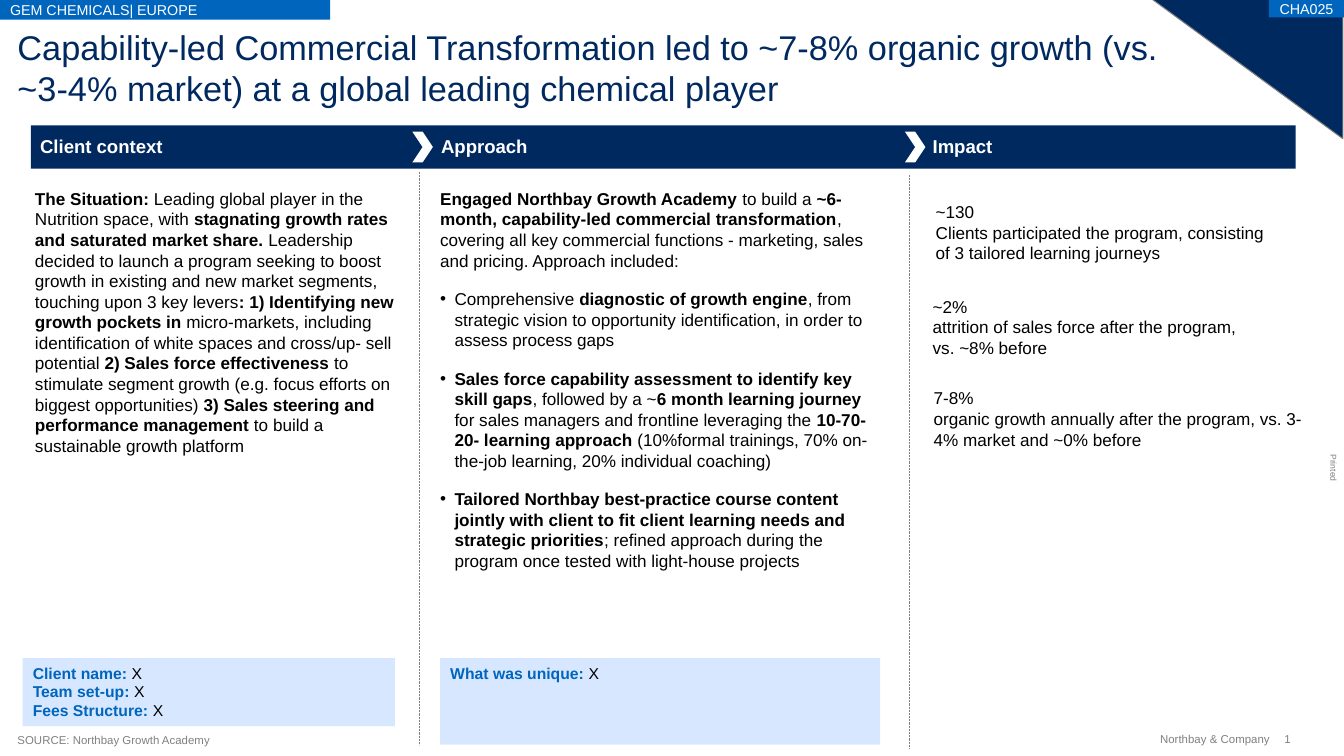
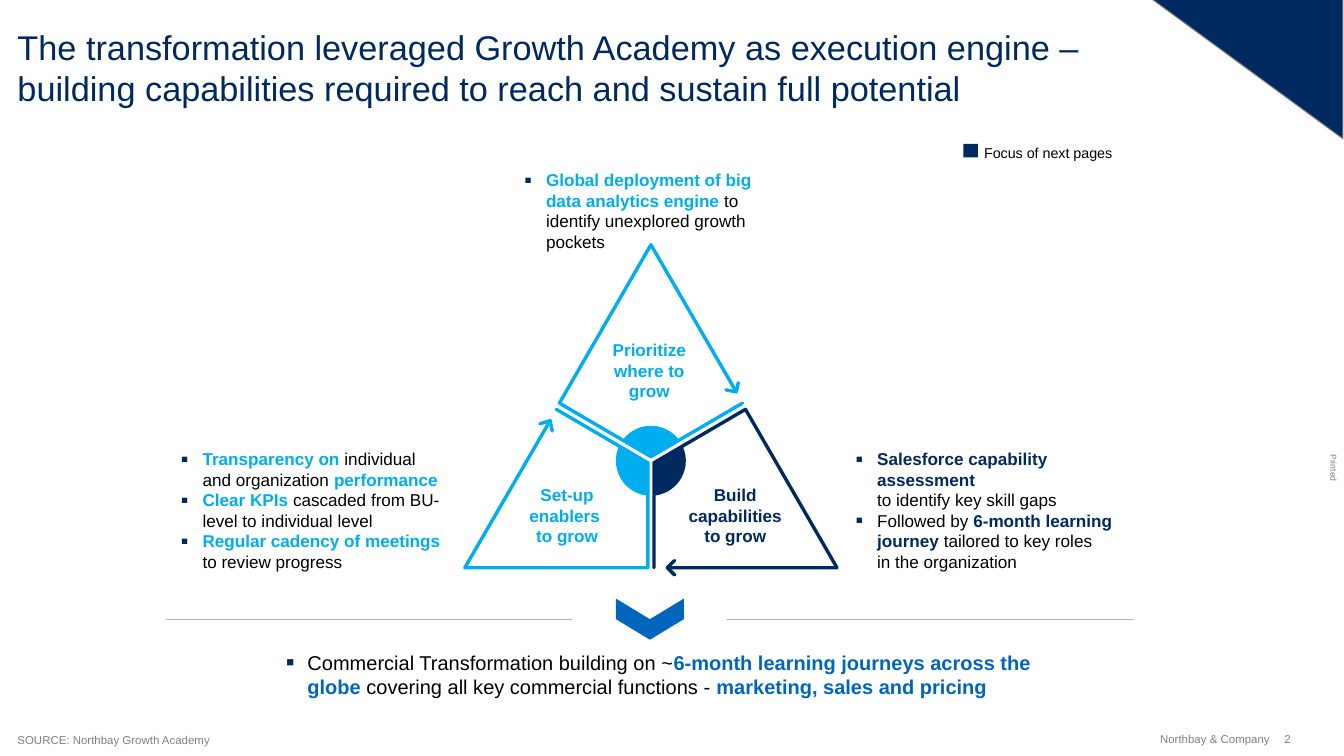
from copy import deepcopy
from math import cos, radians, sin

from pptx import Presentation
from pptx.dml.color import RGBColor
from pptx.enum.dml import MSO_LINE
from pptx.enum.shapes import MSO_CONNECTOR, MSO_SHAPE
from pptx.enum.text import MSO_ANCHOR, MSO_AUTO_SIZE, PP_ALIGN
from pptx.oxml.ns import qn
from pptx.oxml.xmlchemy import OxmlElement
from pptx.util import Inches, Pt

NAVY = RGBColor(0x00, 0x29, 0x60)
BLUE = RGBColor(0x00, 0x65, 0xBD)
CYAN = RGBColor(0x00, 0xAD, 0xEF)
PALE = RGBColor(0xD6, 0xE7, 0xFF)
GREY = RGBColor(0x80, 0x80, 0x80)
SILVER = RGBColor(0xB3, 0xB3, 0xB3)
BLACK = RGBColor(0, 0, 0)
WHITE = RGBColor(0xFF, 0xFF, 0xFF)
FONT = "Arial"

LEFT, CENTER, RIGHT = PP_ALIGN.LEFT, PP_ALIGN.CENTER, PP_ALIGN.RIGHT
TOP, MIDDLE, BOTTOM = MSO_ANCHOR.TOP, MSO_ANCHOR.MIDDLE, MSO_ANCHOR.BOTTOM
RECTANGLE, CHEVRON = MSO_SHAPE.RECTANGLE, MSO_SHAPE.CHEVRON
TRIANGLE = MSO_SHAPE.ISOSCELES_TRIANGLE
STRAIGHT, DOTTED, NO_FIT = MSO_CONNECTOR.STRAIGHT, MSO_LINE.ROUND_DOT, MSO_AUTO_SIZE.NONE

FIRM = "Northbay & Company"
SOURCE = "SOURCE: Northbay Growth Academy"

CASE_TITLE = ("Capability-led Commercial Transformation led to ~7-8% organic growth "
              "(vs. ~3-4% market) at a global leading chemical player")
TAGS = [("GEM CHEMICALS| EUROPE", (0, 0, 3.21, 0.19), LEFT),
        ("CHA025", (12.34, 0, 0.73, 0.17), CENTER)]
HEADINGS = [("Client context", 0.39), ("Approach", 4.29), ("Impact", 9.07)]
HEADING_CHEVRONS = [4.01, 8.8]
DIVIDERS = [(4.08, 1.67, 7.24), (8.84, 1.7, 7.28)]
SITUATION = [
    "*The Situation:* Leading global player in the Nutrition space, with *stagnating growth "
    "rates and saturated market share.* Leadership decided to launch a program seeking to "
    "boost growth in existing and new market segments, touching upon 3 key levers*: "
    "1) Identifying new growth pockets in* micro-markets, including identification of white "
    "spaces and cross/up- sell potential *2) Sales force effectiveness* to stimulate segment "
    "growth (e.g. focus efforts on biggest opportunities) *3) Sales steering and performance "
    "management* to build a sustainable growth platform"]
APPROACH = [
    "*Engaged Northbay Growth Academy* to build a *~6-month, capability-led commercial "
    "transformation*, covering all key commercial functions - marketing, sales and pricing. "
    "Approach included:",
    "Comprehensive *diagnostic of growth engine*, from strategic vision to opportunity "
    "identification, in order to assess process gaps",
    "*Sales force capability assessment to identify key skill gaps*, followed by a ~*6 month "
    "learning journey* for sales managers and frontline leveraging the *10-70-20- learning "
    "approach* (10%formal trainings, 70% on-the-job learning, 20% individual coaching)",
    "*Tailored Northbay best-practice course content jointly with client to fit client "
    "learning needs and strategic priorities*; refined approach during the program once "
    "tested with light-house projects"]
IMPACTS = [
    ((9.1, 1.96, 3.24, 0.61),
     ["~130", "Clients participated the program, consisting of 3 tailored learning journeys"]),
    ((9.07, 2.88, 3.15, 0.61),
     ["~2%", "attrition of sales force after the program, vs. ~8% before"]),
    ((9.08, 3.77, 3.65, 0.61),
     ["7-8%", "organic growth annually after the program, vs. 3-4% market and ~0% before"])]
FACTS = [
    ((0.22, 6.4, 3.62, 0.66), ["*Client name:* X", "*Team set-up:* X", "*Fees Structure:* X"]),
    ((4.28, 6.4, 4.28, 0.84), ["*What was unique:* X"])]

ENGINE_TITLE = ("The transformation leveraged Growth Academy as execution engine – building "
                "capabilities required to reach and sustain full potential")
LEGEND = "Focus of next pages"
ENGINE_LISTS = [
    ((5.1, 1.65, 2.45, 0.81), 12, CYAN,
     ["*Global deployment of big data analytics engine* to identify unexplored growth pockets"]),
    ((1.76, 4.36, 2.59, 1.21), 12, CYAN,
     ["*Transparency on* individual \nand organization *performance*",
      "*Clear KPIs* cascaded from BU-level to individual level",
      "*Regular cadency of meetings* to review progress"]),
    ((8.32, 4.36, 2.86, 1.21), 12, NAVY,
     ["*Salesforce capability assessment*\nto identify key skill gaps",
      "Followed by *6-month learning journey* tailored to key roles \nin the organization"]),
    ((2.78, 6.32, 7.52, 0.47), 14, BLUE,
     ["Commercial Transformation building on ~*6-month learning journeys across the globe* "
      "covering all key commercial functions - *marketing, sales and pricing*"])]
STEPS = [("*Prioritize where to grow*", (5.88, 3.3, 0.87, 0.61), CYAN),
         ("*Set-up enablers \nto grow*", (5.08, 4.71, 0.87, 0.61), CYAN),
         ("*Build capabilities to grow*", (6.69, 4.71, 0.92, 0.61), NAVY)]
OUTLINES = [
    (CYAN, [(5.35, 4.09), (4.52, 5.52), (6.3, 5.52), (6.3, 4.5), (5.41, 3.98)]),
    (CYAN, [(7.16, 3.81), (6.33, 2.38), (5.44, 3.92), (6.33, 4.44), (7.22, 3.92)]),
    (CYAN, [(7.18, 3.72), (7.16, 3.81), (7.06, 3.79)]),
    (CYAN, [(5.25, 4.12), (5.35, 4.09), (5.37, 4.19)]),
    (NAVY, [(6.49, 5.52), (8.14, 5.52), (7.25, 3.98), (6.36, 4.5), (6.36, 5.52)]),
    (NAVY, [(6.56, 5.59), (6.49, 5.52), (6.56, 5.45)])]
HUB_X, HUB_Y, HUB_RADIUS = 6.33, 4.48, 0.34
SECTORS = [(CYAN, (6.33, 4.44), 216, 324), (CYAN, (6.3, 4.5), 95, 204),
           (NAVY, (6.36, 4.5), -24, 85)]
RULES = [(1.61, 5.56), (7.07, 11.03)]

SQUARE_BULLET = {"char": "▪", "indent": 0.21, "percent": 125}
ROUND_BULLET = {"char": "•", "indent": 0.14, "percent": 100}


def place(shape, box):
    for side, length in zip(("left", "top", "width", "height"), box):
        setattr(shape, side, Inches(length))


def set_bullet(paragraph, bullet, color):
    properties = paragraph._p.get_or_add_pPr()
    indent = Inches(bullet["indent"]) if bullet else 0
    properties.set("marL", str(indent))
    properties.set("indent", str(-indent))
    if not bullet:
        properties.append(OxmlElement("a:buNone"))
        return
    tint = OxmlElement("a:buClr")
    rgb = OxmlElement("a:srgbClr")
    rgb.set("val", str(color))
    tint.append(rgb)
    properties.append(tint)
    for tag, key, value in (("a:buSzPct", "val", str(bullet["percent"] * 1000)),
                            ("a:buFont", "typeface", FONT),
                            ("a:buChar", "char", bullet["char"])):
        part = OxmlElement(tag)
        part.set(key, value)
        properties.append(part)


def add_runs(paragraph, text, size, color, accent):
    for order, stretch in enumerate(text.split("*")):
        strong = order % 2 == 1
        for line_number, line in enumerate(stretch.split("\n")):
            if line_number:
                paragraph.add_line_break()
                line_break = paragraph._p[-1]
            if not line:
                continue
            run = paragraph.add_run()
            run.text = line
            font_format = {"name": FONT, "size": Pt(size), "bold": strong}
            for key, value in font_format.items():
                setattr(run.font, key, value)
            run.font.color.rgb = accent if strong else color
            if line_number:
                line_break.append(deepcopy(run._r.rPr))


def write(shape, paragraphs, size, color=BLACK, accent=None, bullet=None, bullet_color=NAVY,
          plain_lead=False, gap=0, align=LEFT, anchor=TOP, insets=(0, 0)):
    frame = shape.text_frame
    across, down = map(Inches, insets)
    frame_format = {"word_wrap": True, "auto_size": NO_FIT, "vertical_anchor": anchor,
                    "margin_left": across, "margin_right": across,
                    "margin_top": down, "margin_bottom": down}
    for key, value in frame_format.items():
        setattr(frame, key, value)
    for number, text in enumerate(paragraphs):
        paragraph = frame.add_paragraph() if number else frame.paragraphs[0]
        lead = plain_lead and number == 0
        set_bullet(paragraph, None if lead else bullet, bullet_color)
        paragraph_format = {"alignment": align, "space_after": Pt(0),
                            "space_before": Pt(gap if number else 0)}
        for key, value in paragraph_format.items():
            setattr(paragraph, key, value)
        add_runs(paragraph, text, size, color, accent or color)


def add_label(slide, box, paragraphs, size, **style):
    label = slide.shapes.add_textbox(*map(Inches, box))
    write(label, paragraphs, size, **style)
    return label


def paint(shape, fill=None, line=None, weight=0.75):
    shape.shadow.inherit = False
    if fill is None:
        shape.fill.background()
    else:
        shape.fill.solid()
        shape.fill.fore_color.rgb = fill
    if line is None:
        shape.line.fill.background()
    else:
        shape.line.color.rgb = line
        shape.line.width = Pt(weight)
    return shape


def add_block(slide, kind, box, fill, line=None):
    return paint(slide.shapes.add_shape(kind, *map(Inches, box)), fill, line)


def add_rule(slide, start, end, color, weight):
    rule = slide.shapes.add_connector(STRAIGHT, *map(Inches, start + end))
    rule.line.color.rgb = color
    rule.line.width = Pt(weight)
    rule._element.spPr.append(OxmlElement("a:effectLst"))
    return rule


def add_outline(slide, points, close):
    start, *others = [(Inches(x), Inches(y)) for x, y in points]
    builder = slide.shapes.build_freeform(*start)
    builder.add_line_segments(others, close=close)
    return builder.convert_to_shape()


def add_page_number(slide):
    label = add_label(slide, (12.49, 7.12, 0.2, 0.13), ["‹#›"], 8, color=GREY, anchor=MIDDLE)
    run = label.text_frame.paragraphs[0].runs[0]._r
    field = OxmlElement("a:fld")
    field.set("id", "{B6F15528-21DE-4FAA-801E-634DDDAF4B2B}")
    field.set("type", "slidenum")
    run.addprevious(field)
    for part in list(run):
        field.append(part)
    run.getparent().remove(run)


def start_slide(deck, layout, title):
    slide = deck.slides.add_slide(deck.slide_layouts[layout])
    place(slide.shapes.title, (0.17, 0.25, 11.3, 0.81))
    write(slide.shapes.title, [title], 24, color=NAVY)
    corner = add_block(slide, TRIANGLE, (11.2, -0.01, 1.86, 1.36), NAVY, GREY)
    corner.adjustments[0] = 1
    corner._element.spPr.find(qn("a:xfrm")).set("flipV", "1")
    printed = add_label(slide, (12.77, 4.5, 0.4, 0.1), ["Printed"], 6, color=GREY, align=CENTER)
    printed.rotation = 90
    add_label(slide, (11.05, 7.12, 1.3, 0.13), [FIRM], 8, color=GREY, align=RIGHT, anchor=MIDDLE)
    add_label(slide, (0.17, 7.12, 7.87, 0.14), [SOURCE], 8, color=GREY, anchor=BOTTOM)
    add_page_number(slide)
    return slide


def build_case(deck):
    slide = start_slide(deck, 3, CASE_TITLE)
    situation, approach = slide.placeholders[1], slide.placeholders[2]
    place(situation, (0.34, 1.83, 3.5, 2.63))
    write(situation, SITUATION, 12)
    place(approach, (4.28, 1.83, 4.27, 3.94))
    write(approach, APPROACH, 12, bullet=ROUND_BULLET, bullet_color=BLACK,
          plain_lead=True, gap=12.5)
    for box, lines in IMPACTS:
        add_label(slide, box, lines, 12)
    for text, box, align in TAGS:
        tag = add_block(slide, RECTANGLE, box, BLUE)
        write(tag, [text], 10, color=WHITE, align=align, anchor=MIDDLE, insets=(0.1, 0))
    add_block(slide, RECTANGLE, (0.3, 1.22, 12.3, 0.42), NAVY)
    for heading, left in HEADINGS:
        add_label(slide, (left, 1.31, 3.2, 0.22), [f"*{heading}*"], 13, color=WHITE, anchor=BOTTOM)
    for left in HEADING_CHEVRONS:
        add_block(slide, CHEVRON, (left, 1.28, 0.2, 0.3), WHITE)
    for x, top, bottom in DIVIDERS:
        add_rule(slide, (x, top), (x, bottom), GREY, 0.5).line.dash_style = DOTTED
    for box, facts in FACTS:
        panel = add_block(slide, RECTANGLE, box, PALE)
        write(panel, facts, 11, accent=BLUE, insets=(0.1, 0.05))


def build_engine(deck):
    slide = start_slide(deck, 4, ENGINE_TITLE)
    for index, (box, size, accent, items) in enumerate(ENGINE_LISTS, 1):
        place(slide.placeholders[index], box)
        write(slide.placeholders[index], items, size, accent=accent, bullet=SQUARE_BULLET)
    add_block(slide, RECTANGLE, (9.37, 1.4, 0.14, 0.13), NAVY)
    add_label(slide, (9.57, 1.4, 1.38, 0.13), [LEGEND], 10)
    for step, box, color in STEPS:
        add_label(slide, box, [step], 12, color=color, align=CENTER)
    for color, points in OUTLINES:
        outline = paint(add_outline(slide, points, False), line=color, weight=2.38)
        stroke = outline._element.spPr.find(qn("a:ln"))
        stroke.set("cap", "rnd")
        stroke.append(OxmlElement("a:round"))
    for color, tip, first, last in SECTORS:
        angles = [radians(first + (last - first) * step / 24) for step in range(25)]
        arc = [(HUB_X + HUB_RADIUS * cos(a), HUB_Y + HUB_RADIUS * sin(a)) for a in angles]
        paint(add_outline(slide, [tip] + arc, True), color)
    add_block(slide, CHEVRON, (6.12, 5.69, 0.4, 0.66), BLUE).rotation = 90
    for left, right in RULES:
        add_rule(slide, (left, 6.02), (right, 6.02), SILVER, 0.75)


def main():
    deck = Presentation()
    deck.slide_width, deck.slide_height = Inches(13.07), Inches(7.35)
    build_case(deck)
    build_engine(deck)
    deck.save("out.pptx")


if __name__ == "__main__":
    main()
